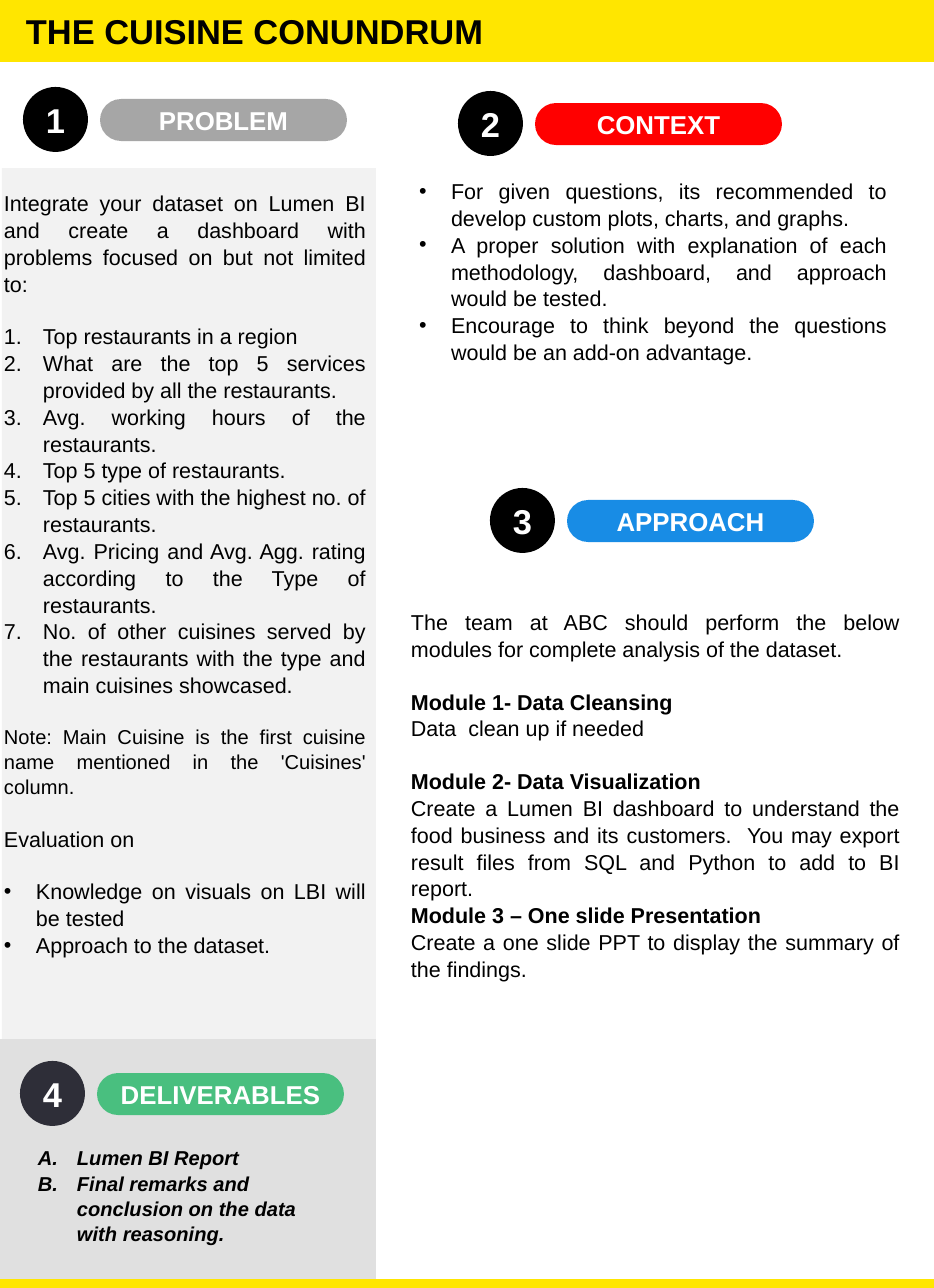
from lxml.etree import SubElement
from pptx import Presentation
from pptx.dml.color import RGBColor
from pptx.enum.shapes import MSO_SHAPE
from pptx.enum.text import MSO_ANCHOR, PP_ALIGN
from pptx.oxml.ns import qn
from pptx.util import Pt

EMU_PER_PX = 914400 / 103.3
WIDTH, HEIGHT = 934, 1288
PANEL_RIGHT = 376
BLANK_LAYOUT = 6

BLACK = RGBColor(0x00, 0x00, 0x00)
WHITE = RGBColor(0xFF, 0xFF, 0xFF)
YELLOW = RGBColor(0xFF, 0xE6, 0x00)
LIGHT_GRAY = RGBColor(0xF2, 0xF2, 0xF2)
PANEL_GRAY = RGBColor(0xE0, 0xE0, 0xE0)
PILL_GRAY = RGBColor(0xA6, 0xA6, 0xA6)
RED = RGBColor(0xFF, 0x00, 0x00)
BLUE = RGBColor(0x18, 0x8C, 0xE5)
GREEN = RGBColor(0x00, 0xB0, 0x50)
CHARCOAL = RGBColor(0x2E, 0x2E, 0x38)


def px(n):
    """Turn pixels into EMU."""
    return round(n * EMU_PER_PX)


def write(p, text, font="Arial", size=15, color=BLACK, bold=False, italic=False,
          align=PP_ALIGN.JUSTIFY, before=0, spacing=1.04, bullet=None,
          number=None, margin=0, hanging=0):
    """Write text into a paragraph with its format."""
    p.alignment, p.space_before, p.line_spacing = align, Pt(before), spacing
    r = p.add_run()
    r.text = text
    f = r.font
    f.name, f.size, f.bold, f.italic = font, Pt(size), bold, italic
    f.color.rgb = color
    pPr = p._p.get_or_add_pPr()
    pPr.set("marL", str(px(margin)))
    pPr.set("indent", str(-px(hanging)))
    if bullet:
        SubElement(pPr, qn("a:buFont"), typeface=font)
        SubElement(pPr, qn("a:buChar"), char=bullet)
    elif number:
        SubElement(pPr, qn("a:buFont"), typeface=font)
        SubElement(pPr, qn("a:buAutoNum"), type=number)
    else:
        SubElement(pPr, qn("a:buNone"))


class Poster:
    """Holds the style and the current slide."""

    bullets = dict(bullet="•", margin=32, hanging=32)
    numbers = dict(number="arabicPeriod", margin=39, hanging=39)
    letters = dict(number="alphaUcPeriod", margin=49, hanging=39, size=14,
                   bold=True, italic=True, align=PP_ALIGN.LEFT)
    centered = dict(color=WHITE, bold=True, align=PP_ALIGN.CENTER, spacing=1)

    def __init__(self, s):
        self.s = s

    def shape(self, kind, x, y, w, h, fill, alpha=100, text=None, parent=None, **fmt):
        """Add a filled shape, with text if given."""
        shapes = (parent or self.s).shapes
        sp = shapes.add_shape(kind, px(x), px(y), px(w), px(h))
        sp.shadow.inherit = False
        sp.fill.solid()
        sp.fill.fore_color.rgb = fill
        sp.line.fill.background()
        if alpha < 100:
            clr = sp._element.spPr.find(qn("a:solidFill"))[0]
            SubElement(clr, qn("a:alpha"), val=str(alpha * 1000))
        if text:
            tf = sp.text_frame
            tf.margin_left = tf.margin_right = px(10)
            tf.margin_top = tf.margin_bottom = 0
            tf.vertical_anchor = MSO_ANCHOR.MIDDLE
            write(tf.paragraphs[0], text, **fmt)
        return sp

    def heading(self, number, label, x, y, fill, alpha=100, circle=BLACK):
        """Add a numbered circle and its labelled pill as a group."""
        group = self.s.shapes.add_group_shape()
        pill = self.shape(MSO_SHAPE.ROUNDED_RECTANGLE, x + 77, y + 12, 247, 42, fill,
                          alpha, label, group, size=18, **self.centered)
        pill.adjustments[0] = 0.5
        self.shape(MSO_SHAPE.OVAL, x, y, 65, 65, circle, 100, str(number), group,
                   size=24, **self.centered)

    def text(self, x, y, w, h, paragraphs):
        """Add a text box from (text, format) pairs."""
        tf = self.s.shapes.add_textbox(px(x), px(y), px(w), px(h)).text_frame
        tf.word_wrap = True
        tf.margin_left = tf.margin_right = tf.margin_top = tf.margin_bottom = 0
        for i, (text, fmt) in enumerate(paragraphs):
            write(tf.add_paragraph() if i else tf.paragraphs[0], text, **fmt)


QUESTIONS = [
    "Top restaurants in a region",
    "What are the top 5 services provided by all the restaurants.",
    "Avg. working hours of the restaurants.",
    "Top 5 type of restaurants.",
    "Top 5 cities with the highest no. of restaurants.",
    "Avg. Pricing and Avg. Agg. rating according to the Type of restaurants.",
    "No. of other cuisines served by the restaurants with the type and main "
    "cuisines showcased.",
]
CRITERIA = ["Knowledge on visuals on LBI will be tested", "Approach to the dataset."]
CONTEXT = [
    "For given questions, its recommended to develop custom plots, charts, and graphs.",
    "A proper solution with explanation of each methodology, dashboard, and approach "
    "would be tested.",
    "Encourage to think beyond the questions would be an add-on advantage.",
]
MODULES = [
    ("Module 1- Data Cleansing", "Data  clean up if needed", 18),
    ("Module 2- Data Visualization",
     "Create a Lumen BI dashboard to understand the food business and its customers.  "
     "You may export result files from SQL and Python to add to BI report.", 18),
    ("Module 3 – One slide Presentation",
     "Create a one slide PPT to display the summary of the findings.", 0),
]
DELIVERABLES = ["Lumen BI Report",
                "Final remarks and conclusion on the data with reasoning."]


def listed(items, style, before=0):
    """Pair items with a list style, with a gap above the first."""
    return [(t, dict(style, before=0 if i else before)) for i, t in enumerate(items)]


def main():
    """Build the poster and save it."""
    prs = Presentation()
    prs.slide_width, prs.slide_height = px(WIDTH), px(HEIGHT)
    poster = Poster(prs.slides.add_slide(prs.slide_layouts[BLANK_LAYOUT]))
    rect = MSO_SHAPE.RECTANGLE

    poster.shape(rect, 0, 0, WIDTH, 62, YELLOW, text="THE CUISINE CONUNDRUM", size=24,
                 bold=True, align=PP_ALIGN.LEFT, margin=16, spacing=1)
    poster.shape(rect, 2, 168, PANEL_RIGHT - 2, 871, LIGHT_GRAY)
    poster.shape(rect, 0, 1039, PANEL_RIGHT, 240, PANEL_GRAY, 98)
    poster.shape(rect, 0, 1279, WIDTH, HEIGHT - 1279, YELLOW)

    poster.heading(1, "PROBLEM", 23, 87, PILL_GRAY)
    poster.heading(2, "CONTEXT", 458, 91, RED)
    poster.heading(3, "APPROACH", 490, 488, BLUE)
    poster.heading(4, "DELIVERABLES", 20, 1061, GREEN, 67, CHARCOAL)

    poster.text(4, 189, 362, 750, [
        ("Integrate your dataset on Lumen BI and create a dashboard with problems "
         "focused on but not limited to:", {}),
        *listed(QUESTIONS, poster.numbers, 18),
        ("Note: Main Cuisine is the first cuisine name mentioned in the 'Cuisines' "
         "column.", dict(size=14, before=18)),
        ("Evaluation on", dict(before=18)),
        *listed(CRITERIA, poster.bullets, 18)])
    poster.text(419, 177, 468, 182, listed(CONTEXT, poster.bullets))
    approach = [("The team at ABC should perform the below modules for complete "
                 "analysis of the dataset.", {})]
    for title, detail, gap in MODULES:
        approach += [(title, dict(bold=True, before=gap)), (detail, {})]
    poster.text(411, 608, 489, 364, approach)
    poster.text(28, 1145, 308, 98, listed(DELIVERABLES, poster.letters))

    prs.save("out.pptx")


main()
